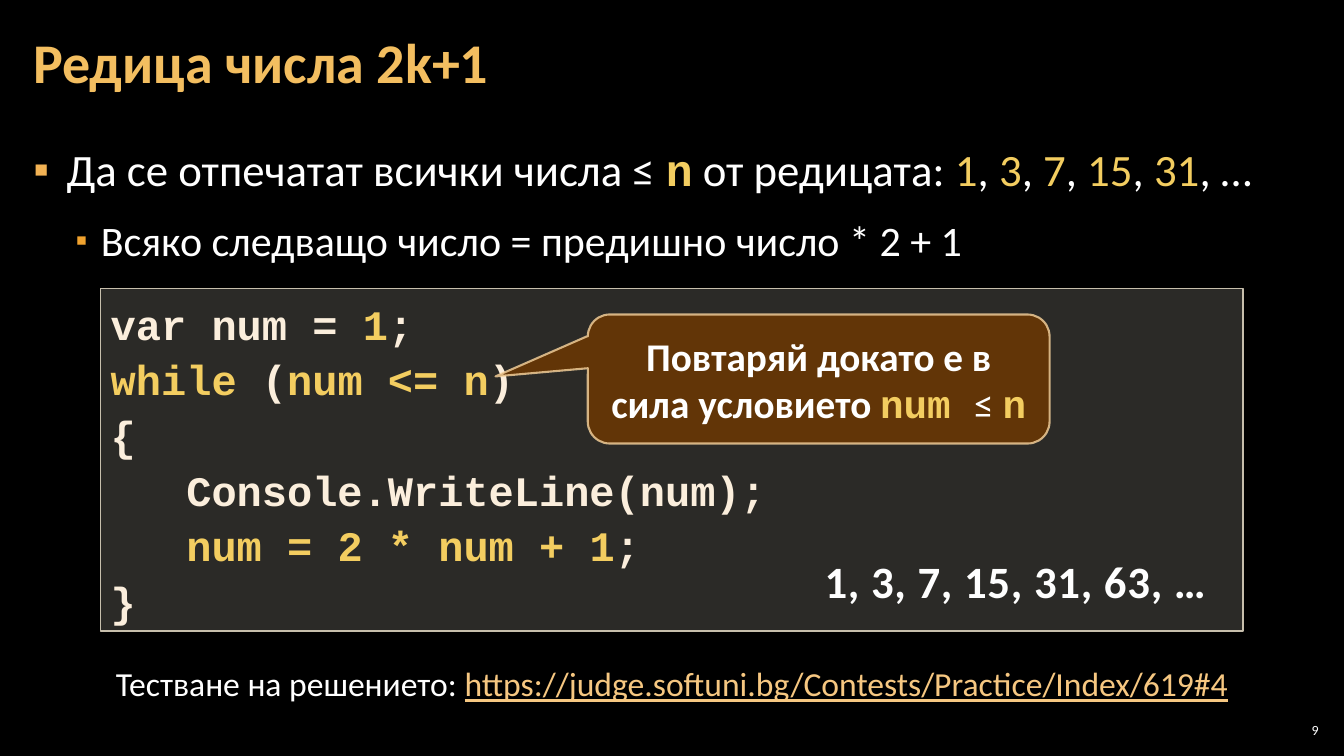
from dataclasses import dataclass

from lxml.etree import SubElement
from pptx import Presentation
from pptx.dml.color import RGBColor
from pptx.enum.shapes import MSO_SHAPE
from pptx.enum.text import MSO_ANCHOR, MSO_AUTO_SIZE, PP_ALIGN
from pptx.oxml import parse_xml
from pptx.oxml.ns import nsdecls, qn
from pptx.util import Inches, Pt


@dataclass(frozen=True)
class Theme:
    sans: str = "Calibri"
    mono: str = "Courier New"
    back: str = "000000"
    text: str = "FFFFFF"
    accent: str = "F3CD60"
    title: str = "F3BE60"
    bullets: tuple = ("F2B254", "F0A22E")
    code: str = "FBEEDC"
    code_fill: str = "D9D5C7"
    code_line: str = "C7BFAC"
    link: str = "F6C781"
    note_fill: str = "663606"
    note_line: str = "F8D49E"
    result: str = "FEFEFE"
    glow: str = "F0A22E"
    title_pt: int = 40
    body_pts: tuple = (32, 30)
    code_pt: int = 30
    note_pt: int = 28
    result_pt: int = 32
    link_pt: int = 24
    number_pt: int = 10


T = Theme()


def add_run(p, text, size, color=T.text, font=T.sans, bold=False, underline=None):
    r = p.add_run()
    r.text = text
    f = r.font
    f.size, f.name, f.bold, f.underline = Pt(size), font, bold, underline
    f.color.rgb = RGBColor.from_string(color)
    return r


def add_marked(p, text, size, color=T.text, **fmt):
    for i, part in enumerate(text.split("|")):
        if part:
            add_run(p, part, size, T.accent if i % 2 else color, **fmt)


def place(s, box):
    s.left, s.top, s.width, s.height = (Inches(v) for v in box)


def set_frame(s, anchor=MSO_ANCHOR.TOP, insets=(0.1, 0.05, 0.1, 0.05), wrap=True):
    tf = s.text_frame
    tf.word_wrap, tf.auto_size, tf.vertical_anchor = wrap, MSO_AUTO_SIZE.NONE, anchor
    tf.margin_left, tf.margin_top, tf.margin_right, tf.margin_bottom = (
        Inches(v) for v in insets)
    return tf


def add_box(slide, box, **frame):
    s = slide.shapes.add_textbox(*(Inches(v) for v in box))
    return set_frame(s, **frame)


def set_alpha(fill_format, percent):
    color = fill_format._xPr.find(qn("a:solidFill"))[0]
    SubElement(color, qn("a:alpha")).set("val", str(percent * 1000))


def add_panel(slide, kind, box, fill, fill_alpha, line, line_pt, line_alpha=100):
    s = slide.shapes.add_shape(kind, *(Inches(v) for v in box))
    s.shadow.inherit = False
    s.fill.solid()
    s.fill.fore_color.rgb = RGBColor.from_string(fill)
    set_alpha(s.fill, fill_alpha)
    s.line.width = Pt(line_pt)
    s.line.color.rgb = RGBColor.from_string(line)
    set_alpha(s.line.fill, line_alpha)
    return s


def set_bullet(p, left, hang, color, percent):
    pPr = p._p.get_or_add_pPr()
    pPr.set("marL", str(Inches(left)))
    pPr.set("indent", str(-Inches(hang)))
    SubElement(SubElement(pPr, qn("a:buClr")), qn("a:srgbClr")).set("val", color)
    SubElement(pPr, qn("a:buSzPct")).set("val", str(percent * 1000))
    SubElement(pPr, qn("a:buFont")).set("typeface", "Arial")
    SubElement(pPr, qn("a:buChar")).set("char", "▪")


def fill_title(slide, box):
    s = slide.shapes.title
    place(s, box)
    p = set_frame(s, MSO_ANCHOR.MIDDLE, (0.12, 0.04, 0.12, 0.04)).paragraphs[0]
    p.alignment, p.line_spacing = PP_ALIGN.LEFT, 0.9
    add_run(p, "Редица числа 2k+1", T.title_pt, T.title, bold=True)


def fill_body(slide, box):
    s = slide.placeholders[1]
    place(s, box)
    tf = set_frame(s, insets=(0.12, 0.12, 0.12, 0.04))
    task, rule = tf.paragraphs[0], tf.add_paragraph()
    rule.level = 1
    set_bullet(task, 0.33, 0.33, T.bullets[0], 100)
    set_bullet(rule, 0.67, 0.25, T.bullets[1], 80)
    for p, before in ((task, 0), (rule, 6)):
        p.line_spacing, p.space_before, p.space_after = 1.05, Pt(before), Pt(6)
    big, small = T.body_pts
    add_run(task, "Да се отпечатат всички числа ≤ ", big)
    add_run(task, "n", big, T.accent, T.mono, True)
    add_marked(task, " от редицата: |1|, |3|, |7|, |15|, |31|, …", big)
    add_run(rule, "Всяко следващо число = предишно число * 2 + 1", small)


def add_code(slide, box):
    s = add_panel(slide, MSO_SHAPE.RECTANGLE, box, T.code_fill, 20, T.code_line, 1)
    tf = set_frame(s)
    lines = ("var num = |1|;", "|while |(|num <= n|)", "{",
             "   Console.WriteLine(num);", "   |num = 2 * num + 1|;", "}")
    for i, line in enumerate(lines):
        p = tf.add_paragraph() if i else tf.paragraphs[0]
        p.alignment, p.line_spacing = PP_ALIGN.LEFT, 1.1
        add_marked(p, line, T.code_pt, T.code, font=T.mono, bold=True)
    x, y = box[:2]
    add_callout(slide, (x + 4.83, y + 0.26, 4.58, 1.28))
    add_result(slide, (x + 7.08, y + 2.58, 4.03, 0.64))


def add_callout(slide, box):
    s = add_panel(slide, MSO_SHAPE.ROUNDED_RECTANGULAR_CALLOUT, box,
                  T.note_fill, 95, T.note_line, 1.5, 80)
    for i, value in enumerate((-0.7, -0.02, 0.17)):
        s.adjustments[i] = value
    p = set_frame(s, MSO_ANCHOR.MIDDLE).paragraphs[0]
    p.alignment = PP_ALIGN.CENTER
    add_run(p, "Повтаряй докато е в сила условието ", T.note_pt, bold=True)
    add_run(p, "num ", T.note_pt, T.accent, T.mono, True)
    add_run(p, "≤ ", T.note_pt)
    add_run(p, "n", T.note_pt, T.accent, T.mono, True)


def add_result(slide, box):
    p = add_box(slide, box, wrap=False).paragraphs[0]
    r = add_run(p, "1, 3, 7, 15, 31, 63, …", T.result_pt, T.result, bold=True)
    rPr = r.font._rPr
    rPr.set("spc", "50")
    color = f'<a:srgbClr val="{T.glow}"/>'
    rPr.insert(0, parse_xml(f'<a:ln {nsdecls("a")} w="{Pt(0.75)}"><a:solidFill>'
                            f'{color}</a:solidFill></a:ln>'))
    rPr.find(qn("a:solidFill")).addnext(parse_xml(
        f'<a:effectLst {nsdecls("a")}><a:outerShdw dist="{Pt(1.5)}" dir="2700000">'
        f'{color}</a:outerShdw></a:effectLst>'))


def add_link(slide, box):
    p = add_box(slide, box).paragraphs[0]
    p.alignment = PP_ALIGN.CENTER
    add_run(p, "Тестване на решението: ", T.link_pt)
    add_run(p, "https://judge.softuni.bg/Contests/Practice/Index/619#4",
            T.link_pt, T.link, underline=True)


def add_number(slide, box):
    tf = add_box(slide, box, anchor=MSO_ANCHOR.MIDDLE, insets=(0.04,) * 4)
    tf.paragraphs[0].alignment = PP_ALIGN.RIGHT
    add_run(tf.paragraphs[0], "9", T.number_pt)


def main():
    prs = Presentation()
    prs.slide_width, prs.slide_height = Inches(13.33), Inches(7.5)
    slide = prs.slides.add_slide(prs.slide_layouts[1])
    slide.background.fill.solid()
    slide.background.fill.fore_color.rgb = RGBColor.from_string(T.back)
    fill_title(slide, (0.21, 0.04, 10.47, 1.21))
    fill_body(slide, (0.21, 1.26, 12.91, 6.09))
    add_code(slide, (1, 2.86, 11.33, 3.4))
    add_link(slide, (0.83, 6.53, 11.67, 0.5))
    add_number(slide, (12.65, 7.14, 0.47, 0.21))
    prs.save("out.pptx")


if __name__ == "__main__":
    main()
